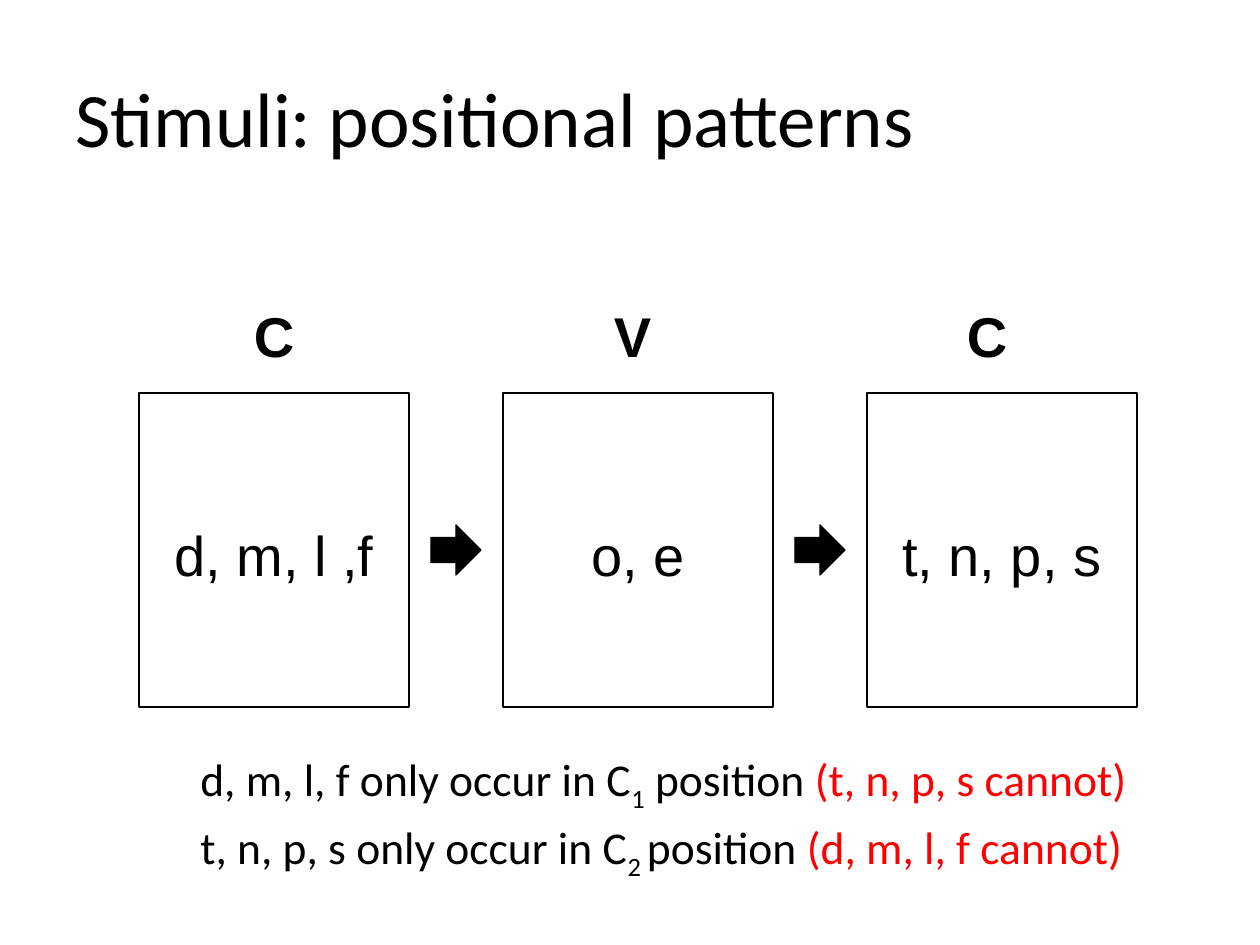
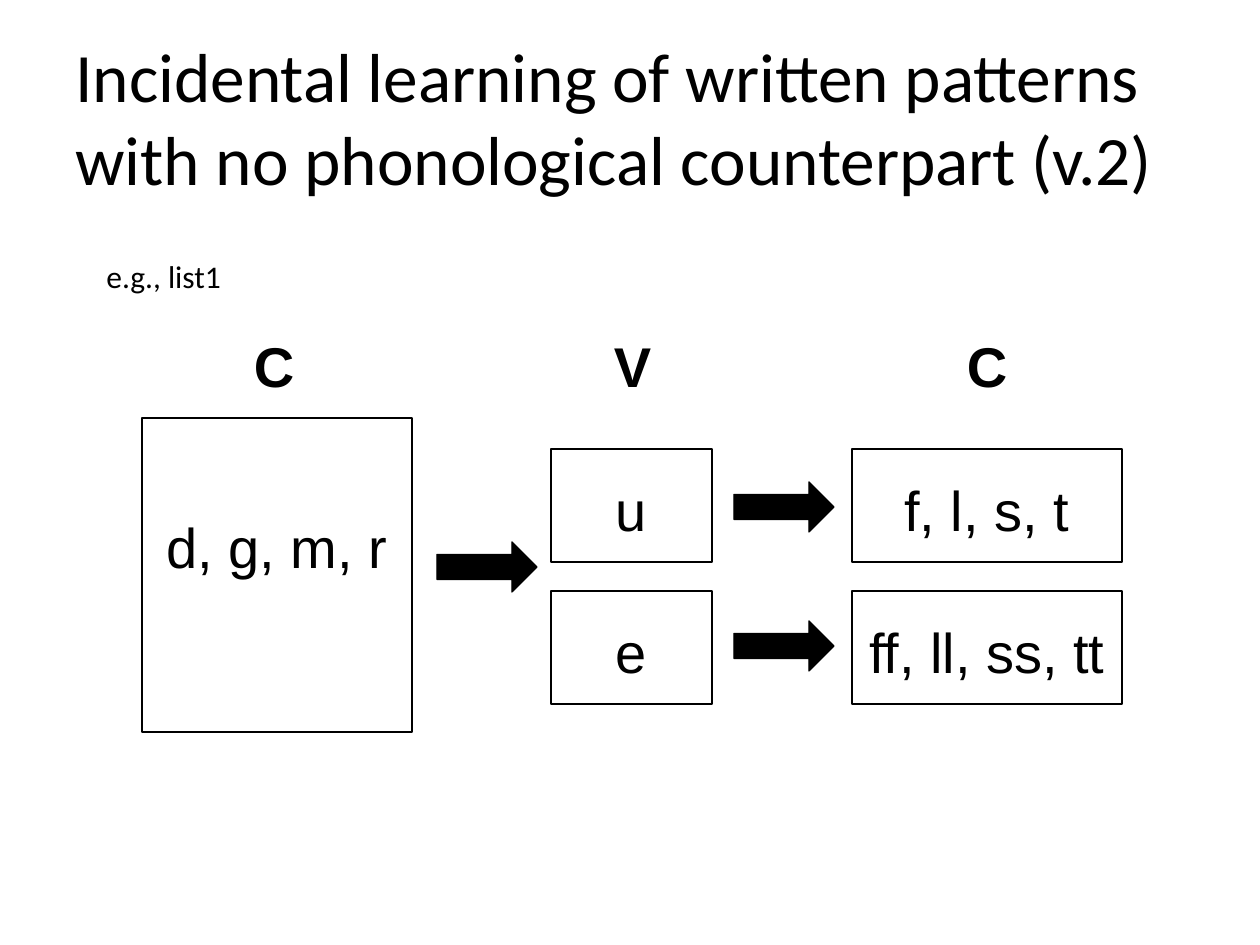
from dataclasses import dataclass
from pptx import Presentation
from pptx.dml.color import RGBColor as RGB
from pptx.enum.shapes import MSO_SHAPE as Shape
from pptx.enum.text import MSO_ANCHOR as Anchor, PP_ALIGN as Align
from pptx.util import Pt

PX = 914400 // 126


@dataclass(frozen=True)
class Theme:
    ink: RGB = RGB(0, 0, 0)
    paper: RGB = RGB(255, 255, 255)
    alert: RGB = RGB(255, 0, 0)
    body_font: str = "Calibri"
    diagram_font: str = "Arial"
    title: float = 44
    long_title: float = 39.6
    diagram: float = 32
    note: float = 26
    caption: float = 18
    box_line: float = 1
    arrow_line: float = 0.75


T = Theme()
TALL_W, TALL_H = 270, 314
VOWEL_W, ROW_H = 161, 113
C1_X, V_X, C2_X = 139, 552, 852
ROW_INSET = 27
ARROW_H = 50


def px(*lengths):
    return [n * PX for n in lengths]


def add_run(p, text, size, font=T.body_font, color=T.ink, bold=False, baseline=0):
    r = p.add_run()
    r.text = text
    r.font.size = Pt(size)
    r.font.name = font
    r.font.bold = bold
    r.font.color.rgb = color
    if baseline:
        r._r.get_or_add_rPr().set("baseline", str(baseline * 1000))


def add_text(s, x, y, w, h, anchor=Anchor.TOP):
    tf = s.shapes.add_textbox(*px(x, y, w, h)).text_frame
    tf.word_wrap = True
    tf.vertical_anchor = anchor
    return tf.paragraphs[0]


def add_title(s, text, size):
    add_run(add_text(s, 63, 38, 1134, 157, Anchor.MIDDLE), text, size)


def add_box(s, x, y, w, h, text, inset=ROW_INSET, heading=False):
    sp = s.shapes.add_shape(Shape.RECTANGLE, *px(x, y, w, h))
    sp.shadow.inherit = False
    sp.fill.solid()
    sp.fill.fore_color.rgb = T.paper
    if heading:
        sp.line.fill.background()
    else:
        sp.line.color.rgb = T.ink
        sp.line.width = Pt(T.box_line)
    tf = sp.text_frame
    tf.word_wrap = True
    tf.vertical_anchor = Anchor.TOP
    tf.margin_left = tf.margin_right = tf.margin_bottom = 0
    tf.margin_top = inset * PX
    p = tf.paragraphs[0]
    p.alignment = Align.CENTER
    add_run(p, text, T.diagram, T.diagram_font, bold=heading)


def add_headings(s, y):
    for x, w, text in ((C1_X, TALL_W, "C"), (V_X, VOWEL_W, "V"), (C2_X, TALL_W, "C")):
        add_box(s, x, y, w, ROW_H, text, heading=True)


def add_arrow(s, x, y, w):
    sp = s.shapes.add_shape(Shape.RIGHT_ARROW, *px(x, y, w, ARROW_H))
    sp.shadow.inherit = False
    sp.fill.solid()
    sp.fill.fore_color.rgb = T.ink
    sp.line.color.rgb = T.ink
    sp.line.width = Pt(T.arrow_line)


def add_note(s, y, letters, position, gap, tail, excluded):
    p = add_text(s, -64, y, 1264, 72)
    pPr = p._p.get_or_add_pPr()
    pPr.set("marL", str(189 * PX))
    pPr.set("indent", str(63 * PX))
    p.line_spacing = 1.07
    p.space_after = Pt(8)
    add_run(p, f"{letters} only occur in C", T.note)
    add_run(p, position + gap, T.note, baseline=-25)
    add_run(p, tail, T.note)
    add_run(p, f"({excluded} cannot)", T.note, color=T.alert)


def build_positional(s):
    step = 364
    add_title(s, "Stimuli: positional patterns", T.title)
    add_headings(s, 275)
    for i, letters in enumerate(("d, m, l ,f", "o, e", "t, n, p, s")):
        add_box(s, C1_X + i * step, 393, TALL_W, TALL_H, letters, inset=128)
    for i in range(2):
        add_arrow(s, 431 + i * step, 525, 50)
    add_note(s, 741, "d, m, l, f", "1", "", " position ", "t, n, p, s")
    add_note(s, 809, "t, n, p, s", "2", " ", "position ", "d, m, l, f")


def build_incidental(s):
    arrow_w = 100
    add_title(s, "Incidental learning of written patterns with no phonological "
                 "counterpart (v.2)", T.long_title)
    add_headings(s, 305)
    add_run(add_text(s, 94, 251, 232, 50), "e.g., list1", T.caption)
    add_box(s, 142, 418, TALL_W, TALL_H, "d, g, m, r", inset=95)
    add_arrow(s, 437, 542, arrow_w)
    rows = ((449, 482, "u", "f, l, s, t"), (591, 621, "e", "ff, ll, ss, tt"))
    for y, arrow_y, vowel, endings in rows:
        add_box(s, V_X - 1, y, VOWEL_W, ROW_H, vowel)
        add_arrow(s, 734, arrow_y, arrow_w)
        add_box(s, C2_X, y, TALL_W, ROW_H, endings)


def main():
    prs = Presentation()
    prs.slide_width, prs.slide_height = px(1260, 945)
    for build in (build_positional, build_incidental):
        build(prs.slides.add_slide(prs.slide_layouts[6]))
    prs.save("out.pptx")


if __name__ == "__main__":
    main()
